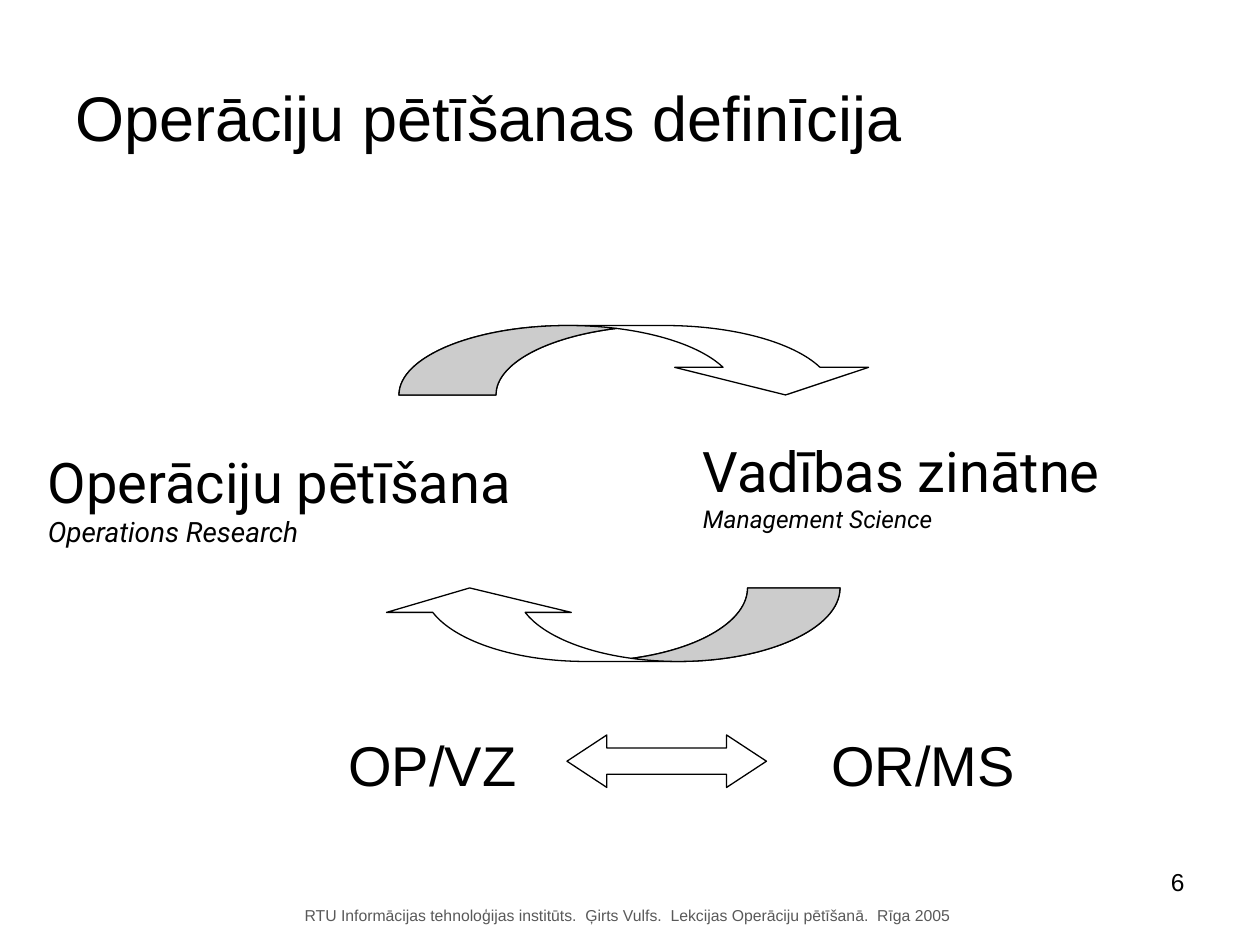
import math
import lxml.etree
import pptx
import pptx.util
import pptx.dml.color
import pptx.enum.shapes
import pptx.enum.text
import pptx.oxml.ns

Pt = pptx.util.Pt
Align = pptx.enum.text.PP_ALIGN
Anchor = pptx.enum.text.MSO_ANCHOR
Fit = pptx.enum.text.MSO_AUTO_SIZE


def color(code):
    return pptx.dml.color.RGBColor.from_string(code)


def node(root, tag, **marks):
    name = pptx.oxml.ns.qn("a:" + tag)
    return lxml.etree.SubElement(root, name, {k: str(v) for k, v in marks.items()})


def spot(mid, wide, high, turn):
    return mid + wide * math.cos(turn), high * math.sin(turn)


def arc(mid, wide, high, start, end):
    pull = 4 / 3 * math.tan((end - start) / 4)
    (ax, ay), (bx, by) = [spot(mid, wide, high, t) for t in (start, end)]
    return ("cubicBezTo",
            (ax - pull * wide * math.sin(start), ay + pull * high * math.cos(start)),
            (bx + pull * wide * math.sin(end), by - pull * high * math.cos(end)),
            (bx, by))


class Deck:
    """Holds the style and the current slide, and draws each kind of element."""

    ink = "000000"
    paper = "FFFFFF"
    stroke = 0.75

    def __init__(self, width, height):
        self.show = pptx.Presentation()
        self.show.slide_width = Pt(width)
        self.show.slide_height = Pt(height)
        self.slide = self.show.slides.add_slide(self.show.slide_layouts[6])

    def text(self, box, lines, font="Arial", ink=ink, wrap=False,
             align=Align.LEFT, anchor=Anchor.TOP):
        frame = self.slide.shapes.add_textbox(*map(Pt, box)).text_frame
        frame.word_wrap = wrap
        frame.auto_size = Fit.NONE if wrap else Fit.SHAPE_TO_FIT_TEXT
        frame.vertical_anchor = anchor
        frame.text = "\n".join(words for words, size, slant in lines)
        for para, (words, size, slant) in zip(frame.paragraphs, lines):
            para.alignment = align
            style = para.runs[0].font
            style.name, style.size, style.italic = font, Pt(size), slant
            style.color.rgb = color(ink)

    def paint(self, shape):
        shape.shadow.inherit = False
        shape.fill.solid()
        shape.fill.fore_color.rgb = color(self.paper)
        shape.line.color.rgb = color(self.ink)
        shape.line.width = Pt(self.stroke)

    def outline(self, box, start, tracks):
        left, top, width, height = box
        pen = self.slide.shapes.build_freeform(Pt(left), Pt(top))
        right, base = left + width, top + height
        pen.add_line_segments([(Pt(right), Pt(top)), (Pt(right), Pt(base)),
                               (Pt(left), Pt(base))])
        shape = pen.convert_to_shape()
        self.paint(shape)
        root = shape.element.spPr.find(".//" + pptx.oxml.ns.qn("a:pathLst"))
        root.clear()
        for tone, steps in tracks:
            track = node(root, "path", w=Pt(width), h=Pt(height), fill=tone)
            for verb, *points in steps:
                step = node(track, verb)
                for a, b in points:
                    node(step, "pt", x=Pt(start[0] + a - left),
                         y=Pt(start[1] - b - top))
            node(track, "close")

    def curve(self, box, start, wide, high, band, neck):
        top = math.pi / 2
        bend = math.asin(neck / high)
        cross = math.acos(band / 2 / wide)
        far = wide + band
        tip = 2 * wide + band / 2
        edge = spot(wide, wide, high, bend)[0]
        rise = [("moveTo", (0, 0)), arc(wide, wide, high, math.pi, top)]
        back = arc(far, wide, high, math.pi - cross, math.pi)
        head = [("lnTo", point) for point in
                [(far, high)]]
        wings = [("lnTo", point) for point in
                 [(edge + 1.5 * band, neck), (tip, 0),
                  (edge - band / 2, neck), (edge, neck)]]
        body = (rise + head + [arc(far, wide, high, top, bend)] + wings
                + [arc(wide, wide, high, bend, cross), back])
        tail = rise + [arc(wide, wide, high, top, cross), back]
        self.outline(box, start, [("norm", body), ("darkenLess", tail)])

    def double(self, box, ratios):
        kind = pptx.enum.shapes.MSO_SHAPE.LEFT_RIGHT_ARROW
        shape = self.slide.shapes.add_shape(kind, *map(Pt, box))
        for i, ratio in enumerate(ratios):
            shape.adjustments[i] = ratio
        self.paint(shape)


def main():
    deck = Deck(720, 540)
    footer = ("RTU Informācijas tehnoloģijas institūts.  Ģirts Vulfs.  "
              "Lekcijas Operāciju pētīšanā.  Rīga 2005")
    deck.text((167, 514, 384, 18), [(footer, 9, False)], ink="595959")
    deck.text((36, 21.6, 648, 90),
              [("Operāciju pētīšanas definīcija", 36, False)],
              wrap=True, anchor=Anchor.MIDDLE)
    deck.text((20.2, 252, 296.6, 64.8),
              [("Operāciju pētīšana", 32, False),
               ("Operations Research", 16, True)], font="Roboto")
    deck.text((394.6, 246.2, 251.3, 62.6),
              [("Vadības zinātne", 32, False),
               ("Management Science", 14, True)], font="Roboto")
    deck.curve((216, 336, 264, 42), (480, 336), -92.6, -42, -52.8, -14)
    deck.curve((228, 186, 276, 39.7), (228, 225.7), 96.6, 39.7, 55.4, 15.8)
    deck.text((192, 414, 110.5, 46), [("OP/VZ", 32, False)])
    deck.text((468, 414, 119.5, 46), [("OR/MS", 32, False)])
    deck.double((324, 420, 114, 30), (0.5, 0.76))
    deck.text((626.4, 492, 57.6, 37.4), [("6", 14, False)],
              wrap=True, align=Align.RIGHT)
    deck.show.save("out.pptx")


if __name__ == "__main__":
    main()
